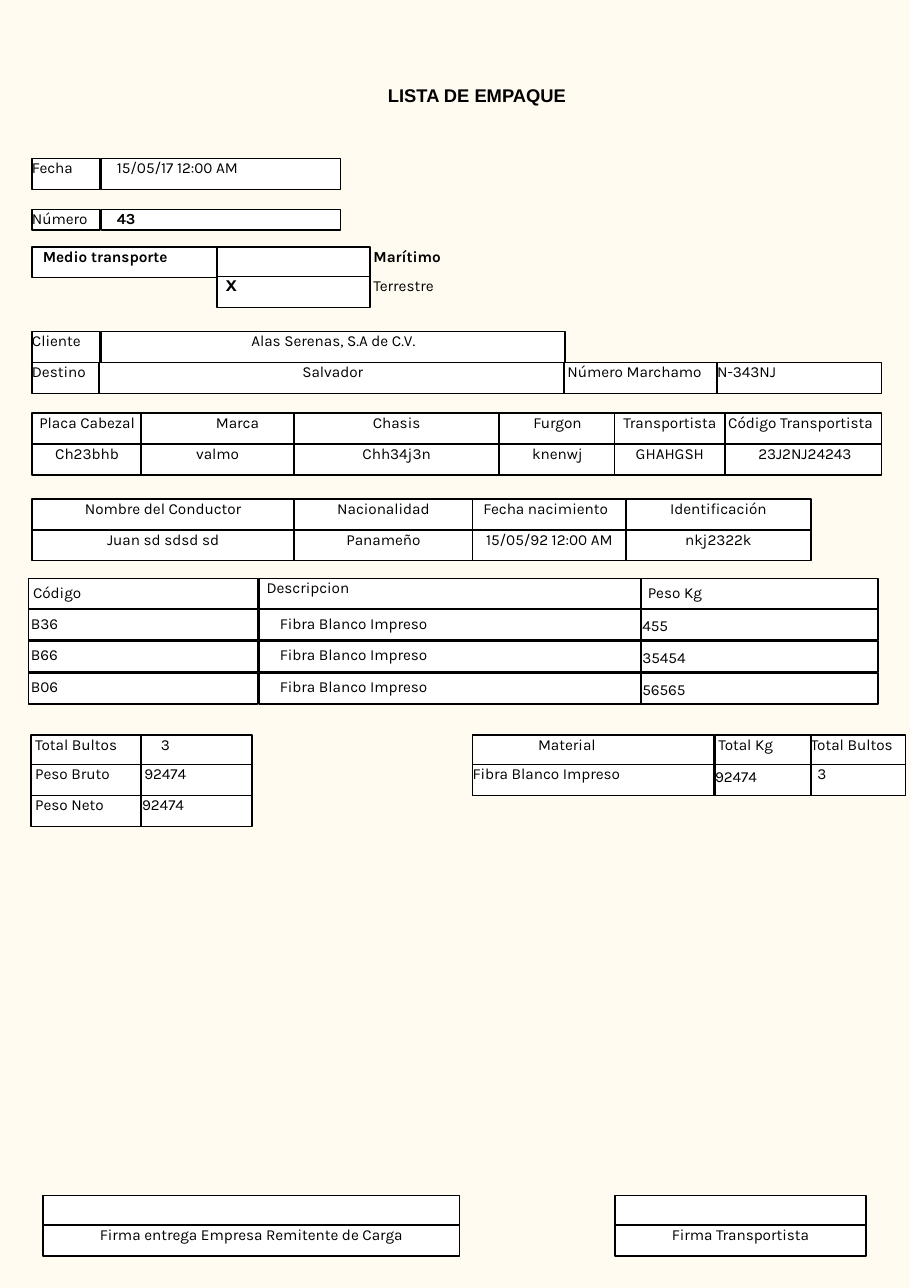
import pptx
import pptx.util
import pptx.dml.color
import pptx.enum.shapes
import pptx.enum.text

px = 9144
hue = pptx.dml.color.RGBColor.from_string
rect = pptx.enum.shapes.MSO_SHAPE.RECTANGLE
align = pptx.enum.text.PP_ALIGN
mid = align.CENTER

deck = pptx.Presentation()
deck.slide_width, deck.slide_height = 826 * px, 1169 * px
page = deck.slides.add_slide(deck.slide_layouts[5])
page.background.fill.solid()
page.background.fill.fore_color.rgb = hue("FFFBF0")


def write(text, shape, left=0, top=0, right=0, side=align.LEFT, font="Karla", size=10, bold=False):
    frame = shape.text_frame
    frame.word_wrap = True
    frame.auto_size = pptx.enum.text.MSO_AUTO_SIZE.NONE
    frame.vertical_anchor = pptx.enum.text.MSO_ANCHOR.TOP
    frame.margin_left, frame.margin_top = left * px, top * px
    frame.margin_right, frame.margin_bottom = right * px, 0
    line = frame.paragraphs[0]
    line.alignment = side
    run = line.add_run()
    run.text = text
    run.font.name, run.font.size, run.font.bold = font, pptx.util.Pt(size), bold
    run.font.color.rgb = hue("000000")


def cell(text, x, y, wide, high=28, **style):
    shape = page.shapes.add_shape(rect, x * px, y * px, wide * px, high * px)
    shape.shadow.inherit = False
    shape.fill.solid()
    shape.fill.fore_color.rgb = hue("FFFFFF")
    shape.line.color.rgb = hue("000000")
    shape.line.width = pptx.util.Pt(1)
    if text:
        write(text, shape, **style)


title = page.shapes.title
title.left, title.top, title.width, title.height = 322 * px, 76 * px, 222 * px, 28 * px
write("LISTA DE EMPAQUE", title, side=mid, font="Arial", size=12, bold=True)

cell("Fecha", 29, 144, 62)
cell("15/05/17 12:00 AM", 92, 144, 217, left=14)
cell("Número", 29, 190, 62, 19)
cell("43", 92, 190, 217, 19, left=14, bold=True)

cell("Medio transporte", 29, 224, 168, left=10, bold=True)
cell("", 197, 224, 139)
cell("X", 197, 251, 139, left=8, font="Montserrat", bold=True)
for text, y, bold in [("Marítimo", 224, True), ("Terrestre", 251, False)]:
    label = page.shapes.add_textbox(336 * px, y * px, 71 * px, 28 * px)
    write(text, label, left=3, bold=bold)

cell("Cliente", 29, 301, 62)
cell("Alas Serenas, S.A de C.V.", 92, 301, 421, side=mid)
cell("Destino", 29, 329, 62)
cell("Salvador", 90, 329, 422, left=2, side=mid)
cell("Número Marchamo", 512, 329, 139, left=3)
cell("N-343NJ", 651, 329, 149)

truck = [
    ("Placa Cabezal", "Ch23bhb", 29, 100, {"side": mid}),
    ("Marca", "valmo", 128, 139, {"left": 68}),
    ("Chasis", "Chh34j3n", 267, 186, {"side": mid}),
    ("Furgon", "knenwj", 453, 106, {"side": mid}),
    ("Transportista", "GHAHGSH", 558, 100, {"side": mid}),
    ("Código Transportista", "23J2NJ24243", 658, 142, {"left": 3}),
]
driver = [
    ("Nombre del Conductor", "Juan sd sdsd sd", 29, 238, {"side": mid}),
    ("Nacionalidad", "Panameño", 267, 162, {"side": mid}),
    ("Fecha nacimiento", "15/05/92 12:00 AM", 429, 139, {"left": 10}),
    ("Identificación", "nkj2322k", 568, 168, {"side": mid}),
]
for y, group in [(375, truck), (453, driver)]:
    for head, value, x, wide, style in group:
        cell(head, x, y, wide, **style)
        inset = 3 if x == 658 else 0
        cell(value, x, y + 28, wide, left=inset, side=mid)

cell("Código", 26, 525, 208, left=4, top=4)
cell("Descripcion", 235, 525, 347, left=7)
cell("Peso Kg", 582, 525, 215, left=6, top=4)
goods = [("B36", "455"), ("B66", "35454"), ("B06", "56565")]
for row, (code, mass) in enumerate(goods):
    y = 553 + 29 * row
    cell(code, 26, y, 208, left=2, top=4)
    cell("Fibra Blanco Impreso", 235, y, 347, left=19, top=4)
    cell(mass, 582, y, 215, left=1, top=6)

cell("Material", 429, 667, 219, right=48, side=mid)
cell("Total Kg", 649, 667, 88, left=3)
cell("Total Bultos", 736, 667, 86)
cell("Fibra Blanco Impreso", 429, 694, 219)
cell("92474", 649, 694, 88, top=2)
cell("3", 736, 694, 86, left=6)

sums = [
    ("Total Bultos", "3", 667, 18),
    ("Peso Bruto", "92474", 694, 3),
    ("Peso Neto", "92474", 722, 1),
]
for name, value, y, left in sums:
    cell(name, 28, y, 100, left=4)
    cell(value, 128, y, 101, left=left)

signs = [
    ("Firma entrega Empresa Remitente de Carga", 39, 378),
    ("Firma Transportista", 558, 228),
]
for text, x, wide in signs:
    cell("", x, 1085, wide)
    cell(text, x, 1112, wide, side=mid)

deck.save("out.pptx")
